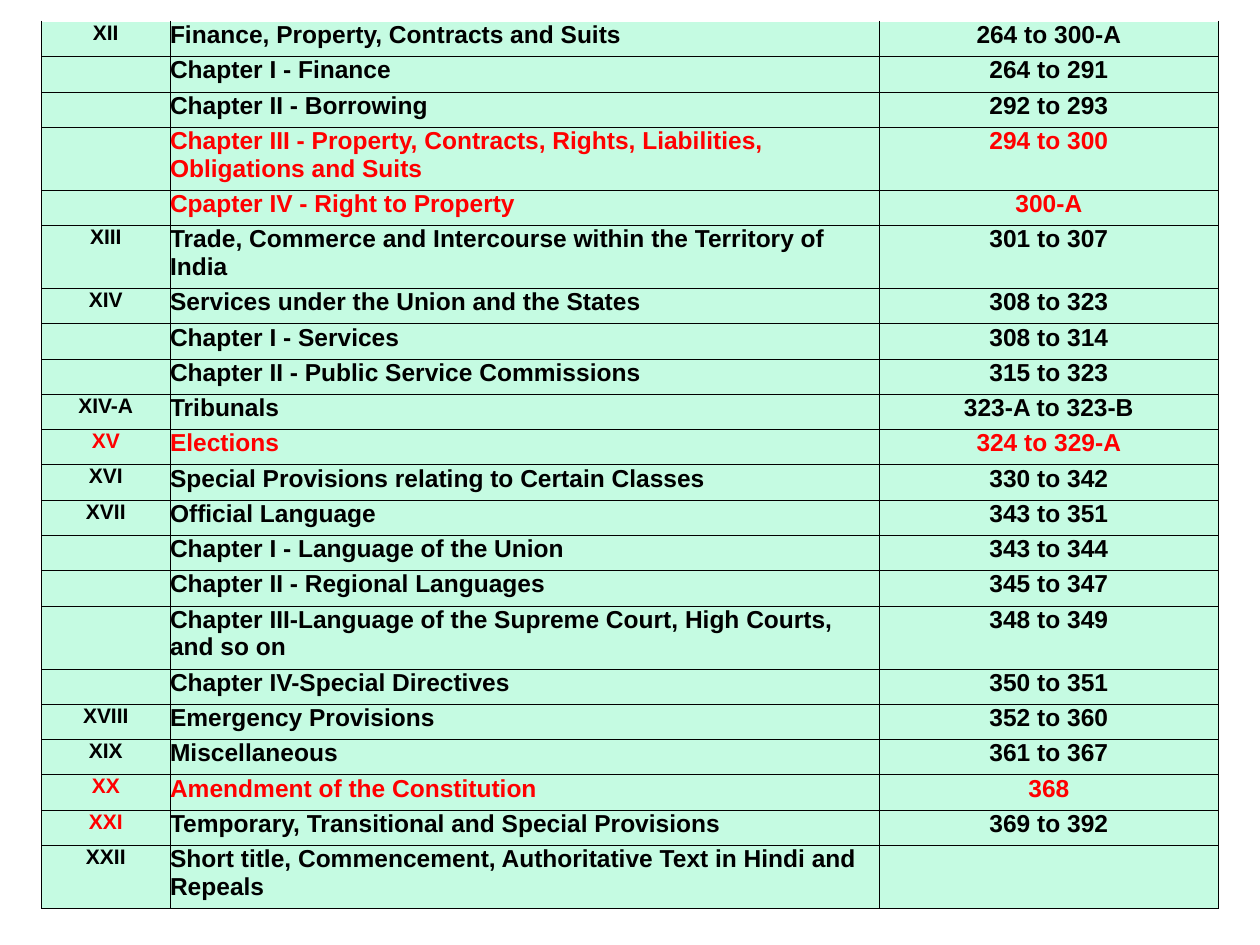
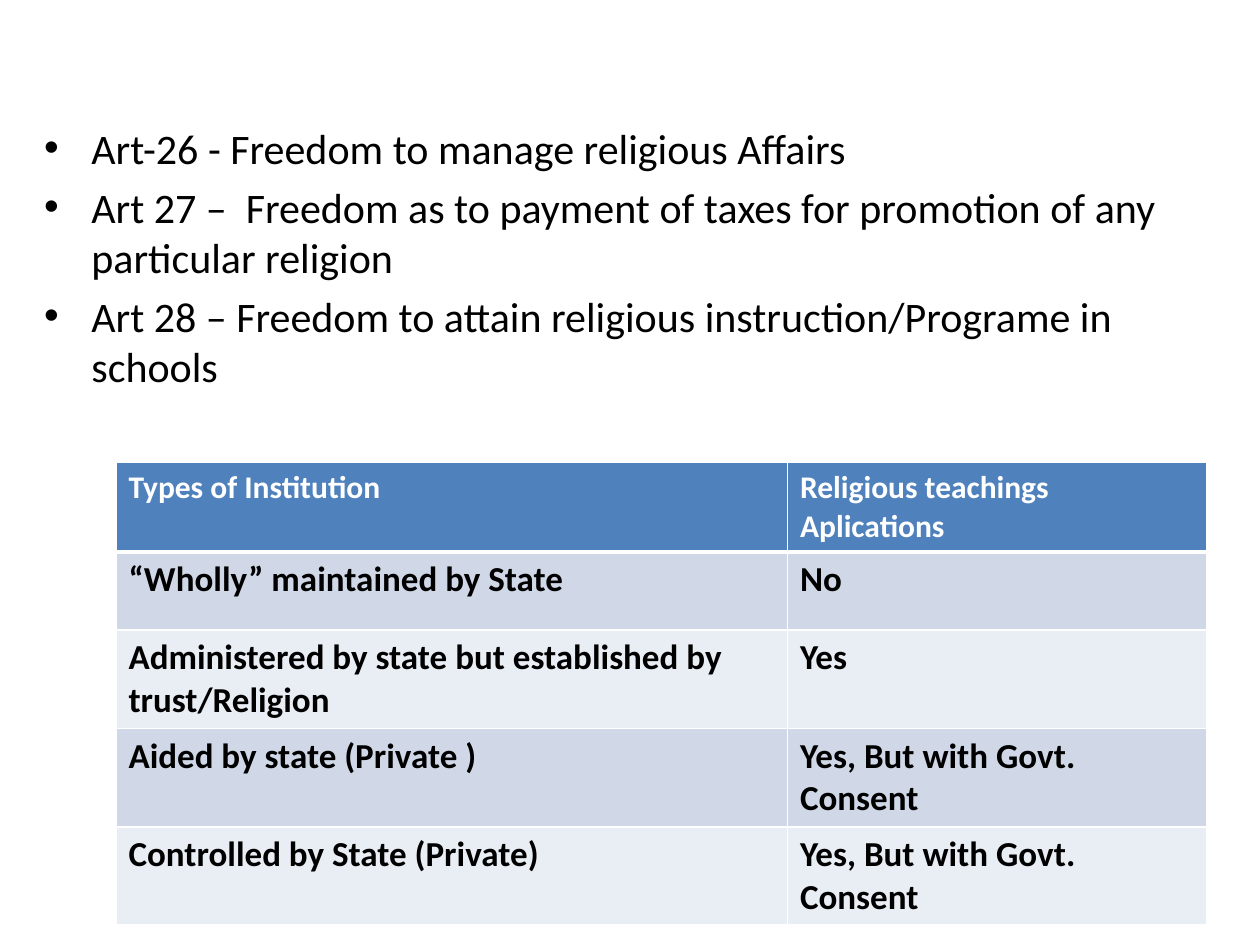
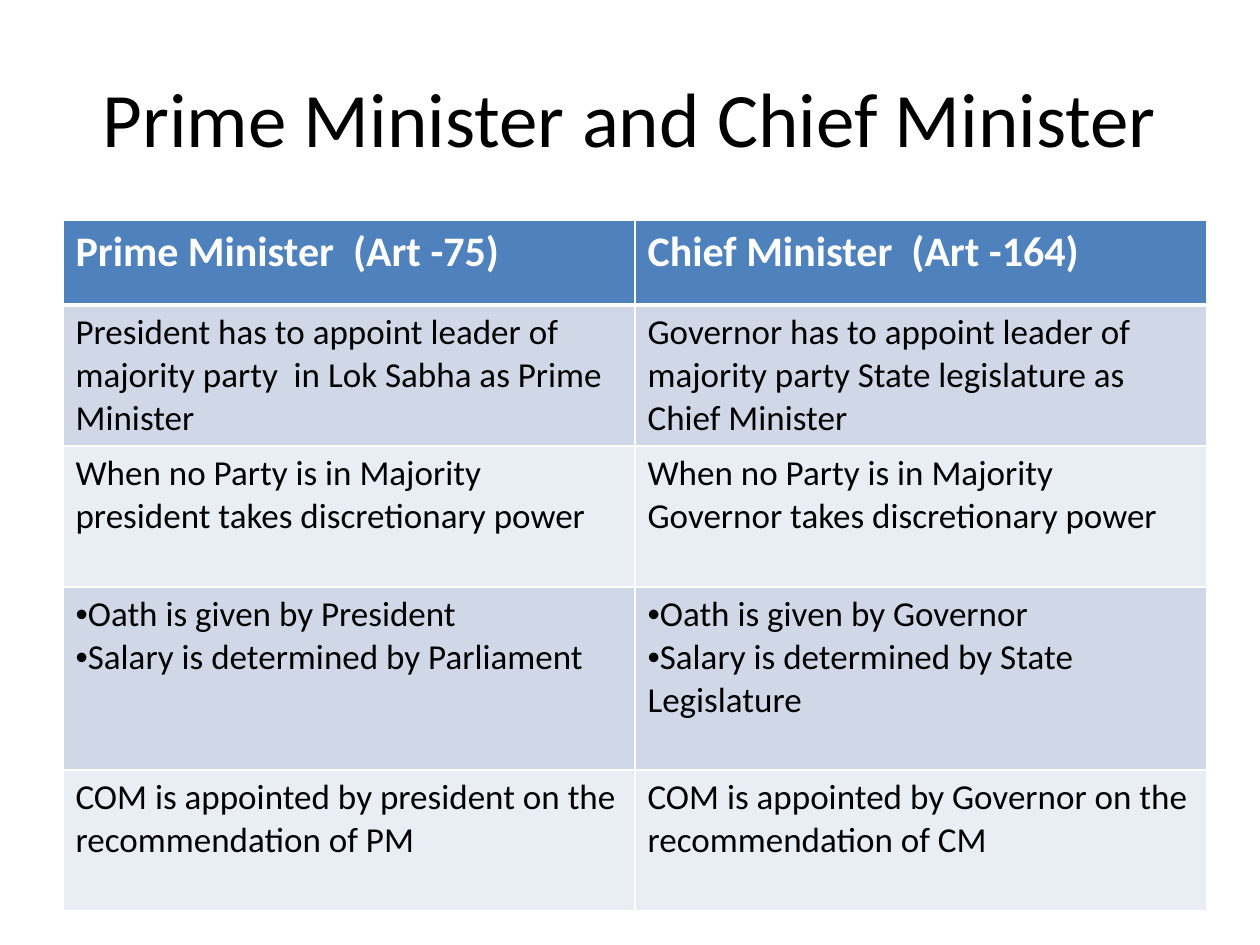
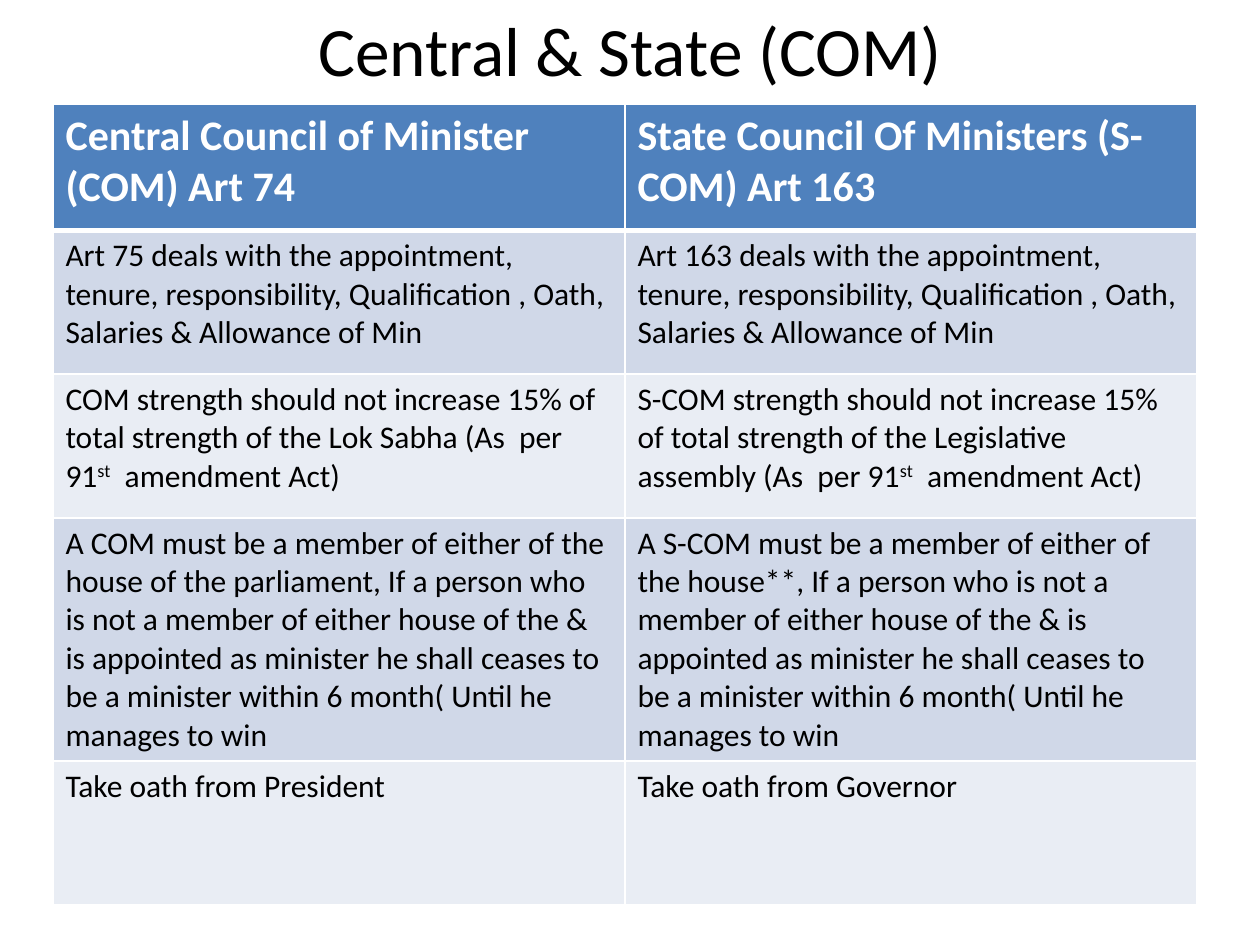
from dataclasses import dataclass
from typing import Optional

from lxml.etree import SubElement
from pptx import Presentation
from pptx.dml.color import RGBColor
from pptx.enum.text import MSO_ANCHOR, PP_ALIGN
from pptx.oxml.ns import qn
from pptx.util import Inches, Pt


@dataclass(frozen=True)
class Theme:
    heading_font: str = "Calibri"
    register_font: str = "Arial"
    black: str = "000000"
    white: str = "FFFFFF"
    red: str = "FF0000"
    mint: str = "C5FBE2"
    header_blue: str = "4F81BD"
    bands: tuple[str, str] = ("D0D8E8", "E9EDF4")
    numeral_size: float = 12
    register_size: float = 14
    small_size: float = 18
    cell_size: float = 20
    large_size: float = 24
    title_size: float = 44
    compact_title_size: float = 39.6
    hairline: float = 0.5
    grid_line: float = 1
    header_line: float = 3


@dataclass(frozen=True)
class Box:
    left: float
    top: float
    width: float
    height: float


@dataclass(frozen=True)
class TextStyle:
    font: str
    size: float
    color: str
    bold: bool = False
    align: PP_ALIGN = PP_ALIGN.LEFT


@dataclass(frozen=True)
class PartRow:
    numeral: str
    subject: str
    articles: str
    numeral_color: str = Theme.black
    text_color: str = Theme.black


@dataclass(frozen=True)
class Comparison:
    left: float
    top: float
    widths: tuple[float, ...]
    heights: tuple[float, ...]
    header_size: float
    body_size: float
    body_bold: bool
    rows: tuple[tuple[str, str], ...]


THEME = Theme()
TITLE_AND_CONTENT, TITLE_ONLY, BLANK = 1, 5, 6
ONE_LINE, TWO_LINES = 0.28, 0.5
REGISTER_WIDTHS = (1.02, 5.63, 2.69)

PARTS = (
    PartRow("XII", "Finance, Property, Contracts and Suits", "264 to 300-A"),
    PartRow("", "Chapter I - Finance", "264 to 291"),
    PartRow("", "Chapter II - Borrowing", "292 to 293"),
    PartRow("", "Chapter III - Property, Contracts, Rights, Liabilities, Obligations and Suits",
            "294 to 300", text_color=THEME.red),
    PartRow("", "Cpapter IV - Right to Property", "300-A", text_color=THEME.red),
    PartRow("XIII", "Trade, Commerce and Intercourse within the Territory of India", "301 to 307"),
    PartRow("XIV", "Services under the Union and the States", "308 to 323"),
    PartRow("", "Chapter I - Services", "308 to 314"),
    PartRow("", "Chapter II - Public Service Commissions", "315 to 323"),
    PartRow("XIV-A", "Tribunals", "323-A to 323-B"),
    PartRow("XV", "Elections", "324 to 329-A", THEME.red, THEME.red),
    PartRow("XVI", "Special Provisions relating to Certain Classes", "330 to 342"),
    PartRow("XVII", "Official Language", "343 to 351"),
    PartRow("", "Chapter I - Language of the Union", "343 to 344"),
    PartRow("", "Chapter II - Regional Languages", "345 to 347"),
    PartRow("", "Chapter III-Language of the Supreme Court, High Courts, and so on", "348 to 349"),
    PartRow("", "Chapter IV-Special Directives", "350 to 351"),
    PartRow("XVIII", "Emergency Provisions", "352 to 360"),
    PartRow("XIX", "Miscellaneous", "361 to 367"),
    PartRow("XX", "Amendment of the Constitution", "368", THEME.red, THEME.red),
    PartRow("XXI", "Temporary, Transitional and Special Provisions", "369 to 392", THEME.red),
    PartRow("XXII", "Short title, Commencement, Authoritative Text in Hindi and Repeals", ""),
)
LONGEST_ONE_LINE_SUBJECT = 50

RELIGIOUS_FREEDOMS = (
    "Art-26 - Freedom to manage religious Affairs",
    "Art 27 –  Freedom as to payment of taxes for promotion of any particular religion",
    "Art 28 – Freedom to attain religious instruction/Programe in schools",
)

INSTITUTIONS = Comparison(
    0.92, 3.67, (5.33, 3.33), (0.71, 0.62, 0.78, 0.78, 0.78),
    THEME.small_size, THEME.cell_size, True,
    (
        ("Types of Institution", "Religious teachings Aplications"),
        ("“Wholly” maintained by State", "No"),
        ("Administered by state but established by trust/Religion", "Yes"),
        ("Aided by state (Private )", "Yes, But with Govt. Consent"),
        ("Controlled by State (Private)", "Yes, But with Govt. Consent"),
    ),
)

MINISTERS = Comparison(
    0.5, 1.75, (4.54, 4.54), (0.67, 1.12, 1.12, 1.45, 1.12),
    THEME.large_size, THEME.cell_size, False,
    (
        ("Prime Minister  (Art -75)", "Chief Minister  (Art -164)"),
        ("President has to appoint leader of majority party  in Lok Sabha as Prime Minister",
         "Governor has to appoint leader of majority party State legislature as Chief Minister"),
        ("When no Party is in Majority president takes discretionary power",
         "When no Party is in Majority Governor takes discretionary power"),
        ("Oath is given by President\nSalary is determined by Parliament",
         "Oath is given by Governor\nSalary is determined by State Legislature"),
        ("COM is appointed by president on the recommendation of PM",
         "COM is appointed by Governor on the recommendation of CM"),
    ),
)

COUNCILS = Comparison(
    0.42, 0.83, (4.54, 4.54), (1, 1.14, 1.14, 1.93, 1.14),
    THEME.large_size, THEME.small_size, False,
    (
        ("Central Council of Minister (COM) Art 74", "State Council Of Ministers (S-COM) Art 163"),
        ("Art 75 deals with the appointment, tenure, responsibility, Qualification , Oath, "
         "Salaries & Allowance of Min",
         "Art 163 deals with the appointment, tenure, responsibility, Qualification , Oath, "
         "Salaries & Allowance of Min"),
        ("COM strength should not increase 15% of total strength of the Lok Sabha "
         "(As  per 91^st^  amendment Act)",
         "S-COM strength should not increase 15% of total strength of the Legislative assembly "
         "(As  per 91^st^  amendment Act)"),
        ("A COM must be a member of either of the house of the parliament, If a person who is not "
         "a member of either house of the & is appointed as minister he shall ceases to be a "
         "minister within 6 month( Until he manages to win",
         "A S-COM must be a member of either of the house**, If a person who is not a member of "
         "either house of the & is appointed as minister he shall ceases to be a minister within "
         "6 month( Until he manages to win"),
        ("Take oath from President", "Take oath from Governor"),
    ),
)


def place(shape, box: Box) -> None:
    shape.left, shape.top = Inches(box.left), Inches(box.top)
    shape.width, shape.height = Inches(box.width), Inches(box.height)


def style_paragraph(paragraph, style: TextStyle) -> None:
    paragraph.alignment = style.align
    for run in paragraph.runs:
        run.font.name = style.font
        run.font.size = Pt(style.size)
        run.font.bold = style.bold
        run.font.color.rgb = RGBColor.from_string(style.color)
    if not paragraph.runs:
        SubElement(paragraph._p, qn("a:endParaRPr"), sz=str(int(style.size * 100)))


def raise_ordinals(paragraph) -> None:
    pieces = paragraph.text.split("^")
    paragraph.text = pieces[0]
    for index, piece in enumerate(pieces[1:], 1):
        run = paragraph.add_run()
        run.text = piece
        if index % 2:
            run._r.get_or_add_rPr().set("baseline", "30000")


def add_bullet(paragraph) -> None:
    properties = paragraph._p.get_or_add_pPr()
    SubElement(properties, qn("a:buFont"), typeface=THEME.register_font)
    SubElement(properties, qn("a:buChar"), char="•")


def set_borders(cell, color: str, widths: dict[str, float]) -> None:
    properties = cell._tc.get_or_add_tcPr()
    for side in "LRTB":
        if side in widths:
            line = SubElement(properties, qn(f"a:ln{side}"), w=str(Pt(widths[side])))
            fill = SubElement(line, qn("a:solidFill"))
            SubElement(fill, qn("a:srgbClr"), val=color)


def fill_cell(cell, text: str, style: TextStyle, background: str,
              line_color: str, line_widths: dict[str, float],
              margin: Optional[float] = None) -> None:
    set_borders(cell, line_color, line_widths)
    cell.fill.solid()
    cell.fill.fore_color.rgb = RGBColor.from_string(background)
    if margin is not None:
        cell.margin_left = cell.margin_right = Inches(margin)
        cell.margin_top = cell.margin_bottom = Inches(margin)
    cell.text_frame.text = text
    for paragraph in cell.text_frame.paragraphs:
        if "^" in text:
            raise_ordinals(paragraph)
        if "\n" in text:
            add_bullet(paragraph)
        style_paragraph(paragraph, style)


def add_grid(slide, left: float, top: float, widths: tuple[float, ...],
             heights: tuple[float, ...]):
    table = slide.shapes.add_table(
        len(heights), len(widths), Inches(left), Inches(top),
        Inches(sum(widths)), Inches(sum(heights))).table
    for column, width in zip(table.columns, widths):
        column.width = Inches(width)
    for row, height in zip(table.rows, heights):
        row.height = Inches(height)
    return table


def add_comparison(slide, comparison: Comparison) -> None:
    table = add_grid(slide, comparison.left, comparison.top, comparison.widths, comparison.heights)
    header = TextStyle(THEME.heading_font, comparison.header_size, THEME.white, True)
    body = TextStyle(THEME.heading_font, comparison.body_size, THEME.black, comparison.body_bold)
    for row_index, row in enumerate(comparison.rows):
        is_header = row_index == 0
        lines = dict.fromkeys("LRTB", THEME.grid_line)
        if is_header:
            lines["B"] = THEME.header_line
        elif row_index == 1:
            lines["T"] = THEME.header_line
        background = THEME.header_blue if is_header else THEME.bands[(row_index - 1) % 2]
        for column_index, text in enumerate(row):
            fill_cell(table.cell(row_index, column_index), text, header if is_header else body,
                      background, THEME.white, lines)


def add_title(slide, text: str, box: Box, size: float) -> None:
    title = slide.shapes.title
    place(title, box)
    title.text_frame.text = text
    title.text_frame.vertical_anchor = MSO_ANCHOR.MIDDLE
    style_paragraph(title.text_frame.paragraphs[0],
                    TextStyle(THEME.heading_font, size, THEME.black, align=PP_ALIGN.CENTER))


def build_parts_slide(deck) -> None:
    slide = deck.slides.add_slide(deck.slide_layouts[BLANK])
    heights = tuple(TWO_LINES if len(part.subject) > LONGEST_ONE_LINE_SUBJECT else ONE_LINE
                    for part in PARTS)
    table = add_grid(slide, 0.33, 0.17, REGISTER_WIDTHS, heights)
    for row_index, part in enumerate(PARTS):
        lines = dict.fromkeys("LRTB" if row_index else "LRB", THEME.hairline)
        entries = (
            (part.numeral, THEME.numeral_size, part.numeral_color, PP_ALIGN.CENTER),
            (part.subject, THEME.register_size, part.text_color, PP_ALIGN.LEFT),
            (part.articles, THEME.register_size, part.text_color, PP_ALIGN.CENTER),
        )
        for column_index, (text, size, color, align) in enumerate(entries):
            fill_cell(table.cell(row_index, column_index), text,
                      TextStyle(THEME.register_font, size, color, True, align),
                      THEME.mint, THEME.black, lines, margin=0)


def build_religion_slide(deck) -> None:
    slide = deck.slides.add_slide(deck.slide_layouts[TITLE_AND_CONTENT])
    unused_title = slide.shapes.title._element
    unused_title.getparent().remove(unused_title)
    freedoms = slide.placeholders[1]
    place(freedoms, Box(0.25, 0.92, 9.5, 5.78))
    freedoms.text_frame.text = "\n".join(RELIGIOUS_FREEDOMS)
    for paragraph in freedoms.text_frame.paragraphs:
        style_paragraph(paragraph, TextStyle(THEME.heading_font, THEME.large_size, THEME.black))
    freedoms.text_frame.paragraphs[0].space_before = Pt(0)
    add_comparison(slide, INSTITUTIONS)


def build_comparison_slide(deck, title: str, box: Box, size: float,
                           comparison: Comparison) -> None:
    slide = deck.slides.add_slide(deck.slide_layouts[TITLE_ONLY])
    add_title(slide, title, box, size)
    add_comparison(slide, comparison)


def main() -> None:
    deck = Presentation()
    deck.slide_width, deck.slide_height = Inches(10), Inches(7.5)
    build_parts_slide(deck)
    build_religion_slide(deck)
    build_comparison_slide(deck, "Prime Minister and Chief Minister", Box(0.5, 0.3, 9, 1.25),
                           THEME.title_size, MINISTERS)
    build_comparison_slide(deck, "Central & State (COM)", Box(0.5, 0, 9, 0.78),
                           THEME.compact_title_size, COUNCILS)
    deck.save("out.pptx")


if __name__ == "__main__":
    main()
